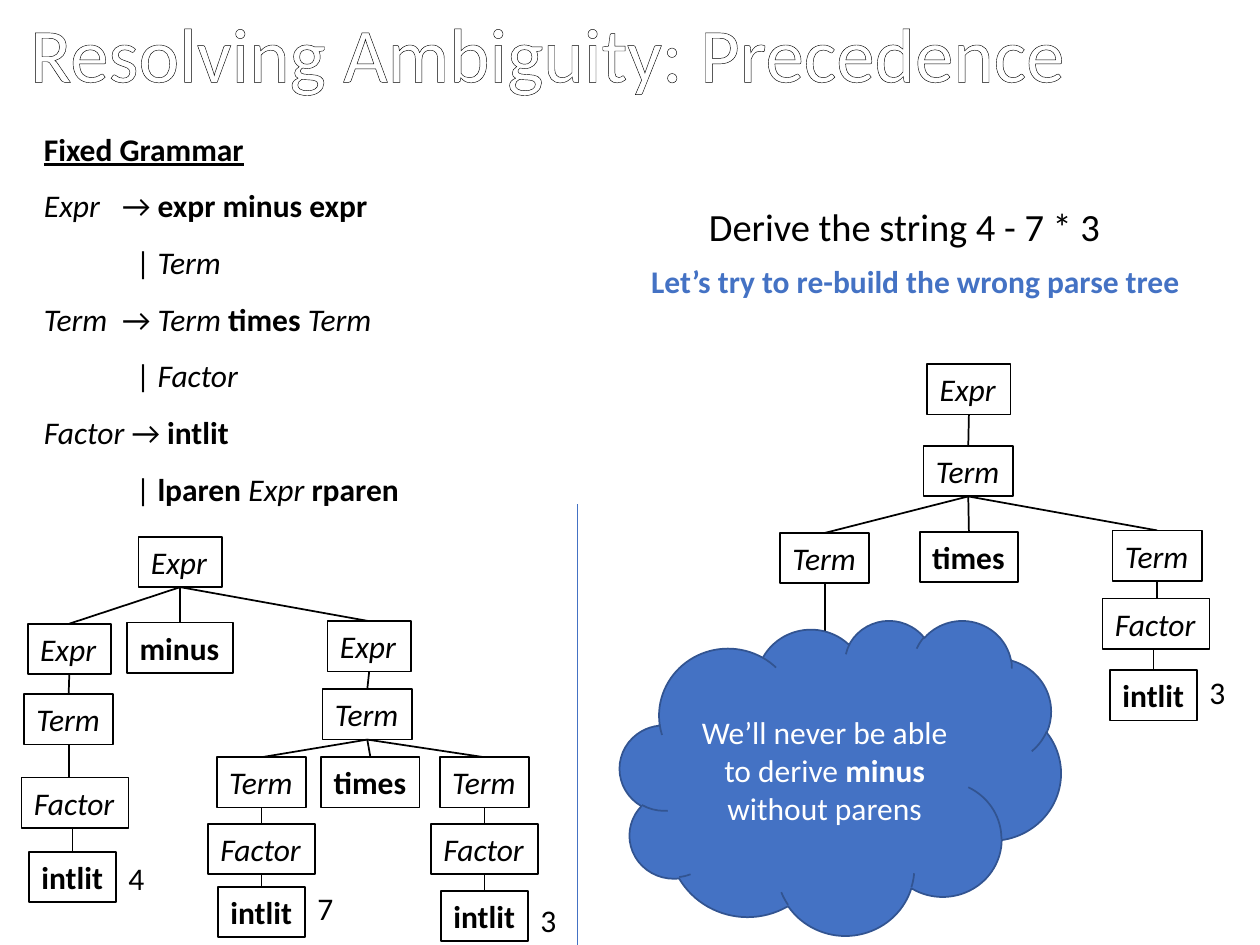
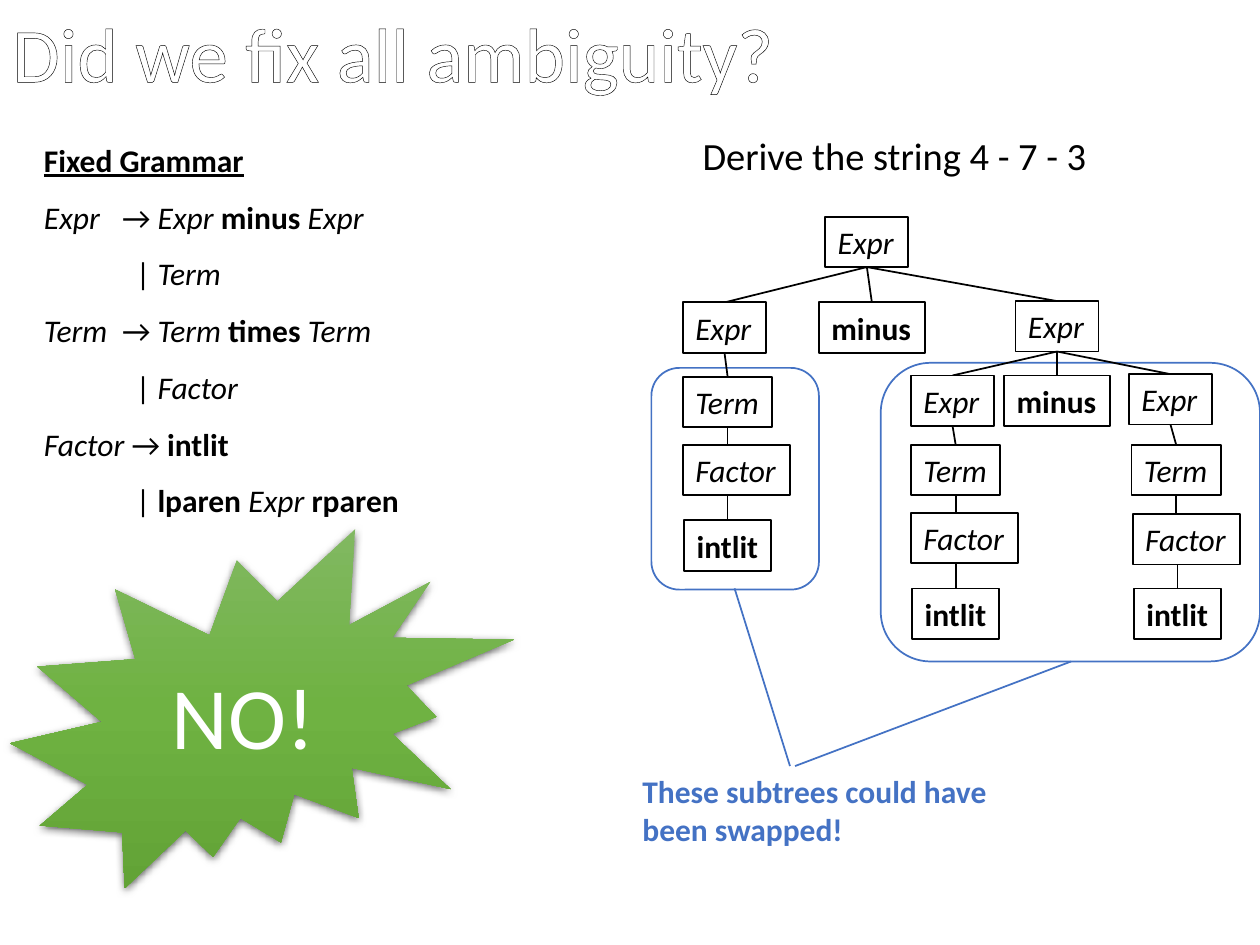
import dataclasses
import itertools

import lxml.etree
import pptx
import pptx.dml.color
import pptx.enum.shapes
import pptx.enum.text
import pptx.oxml.ns
import pptx.util

Inches = pptx.util.Inches
Pt = pptx.util.Pt
qn = pptx.oxml.ns.qn
SHAPES = pptx.enum.shapes.MSO_SHAPE
ALIGN = pptx.enum.text.PP_ALIGN
ANCHOR = pptx.enum.text.MSO_ANCHOR
FIT = pptx.enum.text.MSO_AUTO_SIZE

FONT = "Calibri"
BLACK, WHITE, BLUE, DARK_BLUE = "000000", "FFFFFF", "4472C4", "325491"
SEAL_STOPS = ((0, "81B861"), (50, "6FB242"), (100, "62A336"))
NONTERMINALS = {"Expr", "Term", "Factor"}
TERMINALS = {"expr", "minus", "times", "intlit", "lparen", "rparen"}
NODE_WIDTHS = {"Expr": 0.66, "Term": 0.71, "Factor": 0.85,
               "intlit": 0.69, "minus": 0.84, "times": 0.78}
NODE_HEIGHT = 0.4
ARROW_STOP = 0.62
OPTION_INDENT = 0.73


@dataclasses.dataclass
class Node:
    """One symbol of a parse tree, placed relative to the tree's origin."""
    label: str
    left: float
    top: float
    children: tuple = ()
    value: str = ""
    value_drop: float = 0

    def middle(self):
        """Return the horizontal centre of the node."""
        return self.left + NODE_WIDTHS[self.label] / 2


def color(value):
    """Turn a hex string into a colour."""
    return pptx.dml.color.RGBColor.from_string(value)


def element(parent, tag, **attributes):
    """Append an XML child and return it."""
    child = lxml.etree.SubElement(parent, qn(tag))
    for name, value in attributes.items():
        child.set(name, str(value))
    return child


def word_style(word):
    """Tell whether a word is a nonterminal, a terminal or plain text."""
    if word in NONTERMINALS:
        return "italic"
    return "bold" if word in TERMINALS else "plain"


def write(frame, lines, size=18, ink=BLACK, bold=False, align=ALIGN.LEFT):
    """Write lines of text, with grammar symbols in italic or bold."""
    for index, line in enumerate(lines):
        para = frame.add_paragraph() if index else frame.paragraphs[0]
        para.alignment = align
        groups = [(style, " ".join(words)) for style, words
                  in itertools.groupby(line.split(" "), word_style)]
        for place, (style, text) in enumerate(groups):
            span = para.add_run()
            span.text = text if place == len(groups) - 1 else text + " "
            span.font.name, span.font.size = FONT, Pt(size)
            span.font.color.rgb = color(ink)
            span.font.bold = bold or style == "bold"
            span.font.italic = style == "italic"


def add_text(page, box, lines, wrap=False, **style):
    """Add a text box that grows with its text."""
    frame = page.shapes.add_textbox(*map(Inches, box)).text_frame
    frame.word_wrap = wrap
    frame.auto_size = FIT.SHAPE_TO_FIT_TEXT
    write(frame, lines, **style)
    return frame


def add_shape(page, kind, box, fill=WHITE, line=BLACK):
    """Add a flat preset shape with a one-point outline."""
    shape = page.shapes.add_shape(kind, *map(Inches, box))
    shape.shadow.inherit = False
    shape.fill.solid()
    shape.fill.fore_color.rgb = color(fill)
    shape.line.color.rgb = color(line)
    shape.line.width = Pt(1)
    return shape


def add_line(page, start, end, ink=BLACK, width=1):
    """Draw a straight line between two points."""
    line = page.shapes.add_connector(
        pptx.enum.shapes.MSO_CONNECTOR.STRAIGHT, *map(Inches, (*start, *end)))
    line.line.color.rgb = color(ink)
    line.line.width = Pt(width)
    element(line._element.spPr, "a:effectLst")


def add_title(page, text):
    """Add the white, outlined slide title."""
    frame = add_text(page, (0, -0.17, 10, 1.25), [text], wrap=True,
                     size=44, ink=WHITE)
    frame.auto_size = FIT.NONE
    frame.vertical_anchor = ANCHOR.MIDDLE
    para = frame.paragraphs[0]
    para.line_spacing = 0.9
    for span in para.runs:
        outline = lxml.etree.Element(qn("a:ln"), w=str(Pt(1)))
        fill = element(outline, "a:solidFill")
        element(fill, "a:srgbClr", val=BLACK)
        span.font._element.insert(0, outline)


def add_grammar(page, box, expr_rule):
    """Add the grammar, with the options indented under their rules."""
    lines = ["Fixed Grammar", "Expr \t→ " + expr_rule, "| Term",
             "Term \t→ Term times Term", "| Factor",
             "Factor → intlit", "| lparen Expr rparen"]
    frame = add_text(page, box, lines, wrap=True)
    for line, para in zip(lines, frame.paragraphs):
        para.line_spacing = 1.5
        properties = para._p.get_or_add_pPr()
        if line.startswith("|"):
            properties.set("marL", str(Inches(OPTION_INDENT)))
        elif "\t" in line:
            stops = element(properties, "a:tabLst")
            element(stops, "a:tab", pos=Inches(ARROW_STOP), algn="l")
    for span in frame.paragraphs[0].runs:
        span.font.bold = span.font.underline = True


def leaf_chain(lefts, tops, value="", value_drop=0):
    """Return the chain from Term through Factor to intlit."""
    leaf = Node("intlit", lefts[2], tops[2], (), value, value_drop)
    factor = Node("Factor", lefts[1], tops[1], (leaf,))
    return Node("Term", lefts[0], tops[0], (factor,))


def add_tree(page, origin, node):
    """Draw a node, its value, its subtrees and the lines to them."""
    x, y = origin
    width = NODE_WIDTHS[node.label]
    left, top = x + node.left, y + node.top
    box = add_shape(page, SHAPES.RECTANGLE, (left, top, width, NODE_HEIGHT))
    frame = box.text_frame
    frame.word_wrap = False
    frame.auto_size = FIT.SHAPE_TO_FIT_TEXT
    frame.vertical_anchor = ANCHOR.TOP
    write(frame, [node.label])
    if node.value:
        add_text(page, (left + width, top + node.value_drop, 0.33, NODE_HEIGHT),
                 [node.value])
    for child in node.children:
        start, end = node.middle(), child.middle()
        if child.label == "Factor":
            end = start
        elif node.label == "Factor":
            start = end
        add_line(page, (x + start, top + NODE_HEIGHT), (x + end, y + child.top))
        add_tree(page, origin, child)


def add_cloud(page, box):
    """Add the cloud that hides the underivable subtree."""
    cloud = add_shape(page, SHAPES.CLOUD, box, BLUE, DARK_BLUE)
    cloud.text_frame.word_wrap = True
    cloud.text_frame.vertical_anchor = ANCHOR.MIDDLE
    write(cloud.text_frame,
          ["We’ll never be able to derive minus", "without parens"],
          ink=WHITE, align=ALIGN.CENTER)


def add_seal(page, box, text):
    """Add the green burst with a gradient and a soft shadow."""
    seal = add_shape(page, SHAPES.EXPLOSION2, box)
    seal.line.fill.background()
    seal.fill.gradient()
    properties = seal._element.spPr
    gradient = properties.find(qn("a:gradFill"))
    for child in list(gradient):
        gradient.remove(child)
    stops = element(gradient, "a:gsLst")
    for percent, value in SEAL_STOPS:
        stop = element(stops, "a:gs", pos=percent * 1000)
        element(stop, "a:srgbClr", val=value)
    element(gradient, "a:lin", ang=90 * 60000, scaled=0)
    shadow = element(properties.find(qn("a:effectLst")), "a:outerShdw",
                     blurRad=Pt(4.5), dist=Pt(1.5), dir=90 * 60000,
                     algn="ctr", rotWithShape=0)
    tint = element(shadow, "a:srgbClr", val=BLACK)
    element(tint, "a:alpha", val=63000)
    seal.text_frame.word_wrap = True
    seal.text_frame.vertical_anchor = ANCHOR.MIDDLE
    write(seal.text_frame, [text], size=50, ink=WHITE, align=ALIGN.CENTER)


def build_precedence(page):
    """Build the slide on precedence: the right tree and the failed one."""
    add_title(page, " Resolving Ambiguity: Precedence")
    add_grammar(page, (0.25, 0.83, 3.25, 3.28), "expr minus expr")
    product = Node("Term", 2.56, 1.47, (
        leaf_chain((1.72, 1.65, 1.73), (2.01, 2.54, 3.04), "7", -0.03),
        Node("times", 2.55, 2.01),
        leaf_chain((3.49, 3.42, 3.5), (2.01, 2.54, 3.07), "3", 0.03)))
    four = leaf_chain((0.19, 0.17, 0.23), (1.51, 2.17, 2.76), "4", 0.01)
    add_tree(page, (0, 4), Node("Expr", 1.1, 0.26, (
        Node("Expr", 0.22, 0.95, (four,)),
        Node("minus", 1.01, 0.94),
        Node("Expr", 2.6, 0.93, (product,)))))
    add_line(page, (4.58, 4), (4.58, 7.5), BLUE, 0.5)
    add_text(page, (5.51, 1.56, 3.34, 0.47), ["Derive the string 4 - 7 * 3"],
             size=22, align=ALIGN.CENTER)
    add_text(page, (5.07, 2.03, 4.43, 0.4),
             ["Let’s try to re-build the wrong parse tree"], ink=BLUE, bold=True)
    wrong_product = Node("Term", 1.33, 1.04, (
        Node("Term", 0.19, 1.73),
        Node("times", 1.3, 1.72),
        leaf_chain((2.83, 2.75, 2.81), (1.71, 2.25, 2.82), "3", -0.03)))
    add_tree(page, (6, 2.5), Node("Expr", 1.36, 0.39, (wrong_product,)))
    add_line(page, (6.55, 4.63), (6.55, 5.07))
    add_cloud(page, (4.92, 4.92, 3.5, 2.5))


def build_associativity(page):
    """Build the slide on the ambiguity that remains."""
    regions = ((6.99, 2.88, 3.01, 2.37), (5.17, 2.92, 1.33, 1.76))
    for region in regions:
        add_shape(page, SHAPES.ROUNDED_RECTANGLE, region, line=BLUE)
    add_title(page, "Did we fix all ambiguity?")
    add_grammar(page, (0.25, 0.92, 3.25, 3.28), "Expr minus Expr")
    add_text(page, (5.47, 1, 3.26, 0.47), ["Derive the string 4 - 7 - 3"],
             size=22, align=ALIGN.CENTER)
    first = leaf_chain((0.42, 0.42, 0.43), (1.49, 2.03, 2.63))
    second = leaf_chain((2.23, 2.23, 2.24), (2.03, 2.57, 3.17))
    third = leaf_chain((3.98, 3.99, 4), (2.03, 2.58, 3.17))
    add_tree(page, (5, 1.5), Node("Expr", 1.55, 0.22, (
        Node("Expr", 0.42, 0.9, (first,)),
        Node("minus", 1.5, 0.9),
        Node("Expr", 3.06, 0.89, (
            Node("Expr", 2.23, 1.48, (second,)),
            Node("minus", 2.97, 1.48),
            Node("Expr", 3.96, 1.47, (third,)))))))
    add_seal(page, (0.08, 4.2, 4, 2.85), "NO!")
    add_line(page, (5.83, 4.67), (6.27, 6.08), BLUE)
    add_line(page, (6.31, 6.08), (8.5, 5.25), BLUE)
    add_text(page, (5, 6.08, 3.01, 0.71),
             ["These subtrees could have", "been swapped!"], ink=BLUE, bold=True)


deck = pptx.Presentation()
deck.slide_width, deck.slide_height = Inches(10), Inches(7.5)
for build in (build_precedence, build_associativity):
    build(deck.slides.add_slide(deck.slide_layouts[6]))
deck.save("out.pptx")
